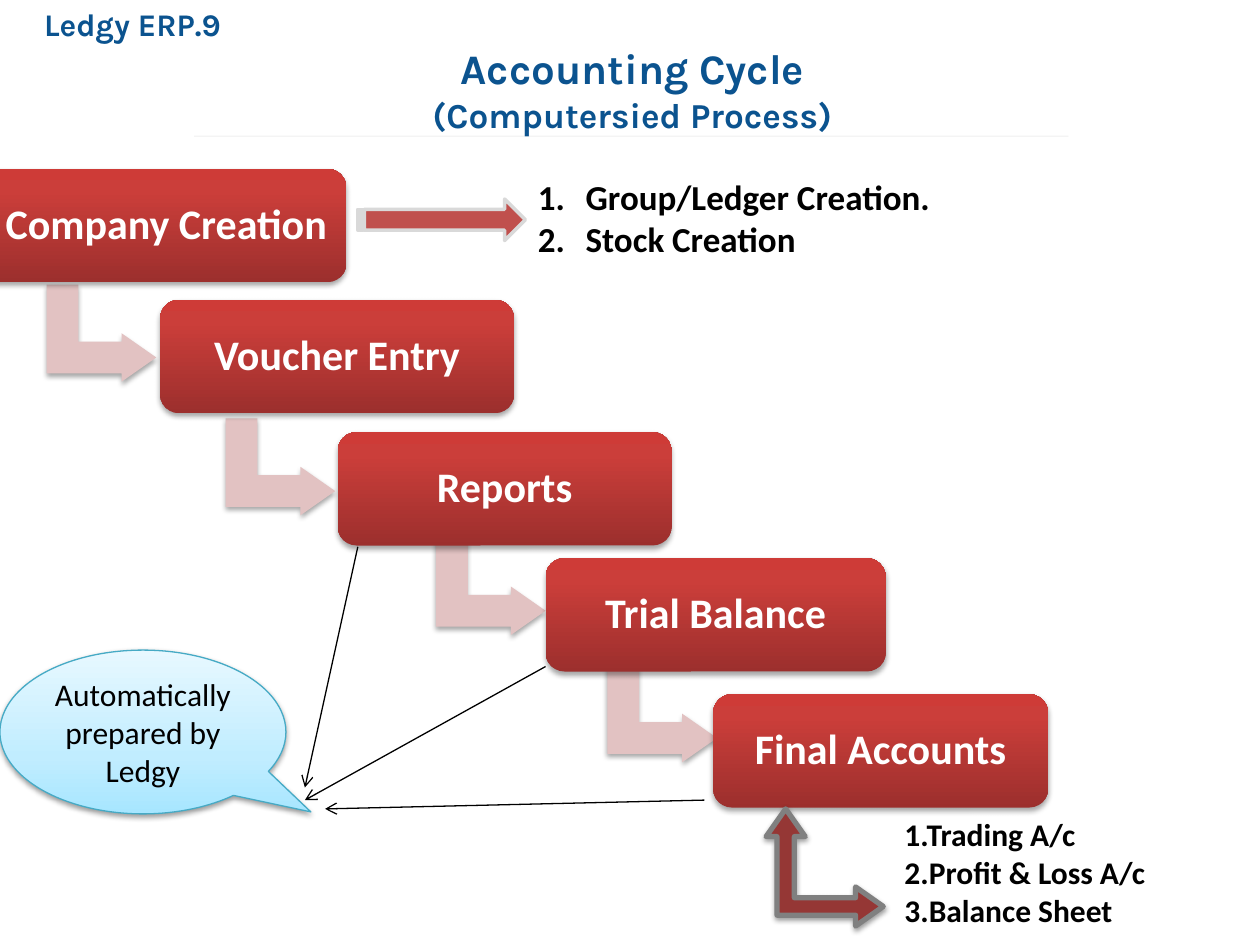
"""Build the accounting cycle slide with its step-down process boxes."""
from copy import deepcopy

from lxml.etree import SubElement
from pptx import Presentation
from pptx.dml.color import RGBColor
from pptx.enum.shapes import MSO_CONNECTOR, MSO_SHAPE
from pptx.enum.text import MSO_ANCHOR, PP_ALIGN
from pptx.oxml.ns import qn
from pptx.util import Inches, Pt

BLUE = RGBColor(0x0B, 0x53, 0x8F)
BLACK = RGBColor(0, 0, 0)
WHITE = RGBColor(0xFF, 0xFF, 0xFF)
PINK = RGBColor(0xE2, 0xC2, 0xC2)
RED = RGBColor(0xC0, 0x50, 0x4D)
DARK_RED = RGBColor(0x95, 0x37, 0x35)
PALE_GRAY = RGBColor(0xD9, 0xD9, 0xD9)
RULE_GRAY = RGBColor(0xBF, 0xBF, 0xBF)
GRAY = RGBColor(0x80, 0x80, 0x80)
TEAL = RGBColor(0x46, 0xAA, 0xC5)
RED_STOPS = [(0, RGBColor(0x9C, 0x2F, 0x2D)), (0.8, RGBColor(0xCB, 0x3E, 0x3A)),
             (1, RGBColor(0xCE, 0x3B, 0x37))]
SKY_STOPS = [(0, RGBColor(0xA7, 0xE6, 0xFF)), (0.35, RGBColor(0xC1, 0xED, 0xFF)),
             (1, RGBColor(0xE7, 0xF8, 0xFF))]
STEP_SHADOW = (35, 3.1, 1.8, 90)
SOFT_SHADOW = (38, 3.1, 1.6, 90)


def paint(sp, fill=None, line=None, shadow=None):
    spPr = sp._element.spPr
    if isinstance(fill, list):
        sp.fill.gradient()
        sp.fill.gradient_angle = 90
        gs = spPr.find(".//" + qn("a:gsLst"))
        gs.insert(1, deepcopy(gs[0]))
        for stop, (pos, color) in zip(sp.fill.gradient_stops, fill):
            stop.position = pos
            stop.color.rgb = color
    elif fill is not None:
        sp.fill.solid()
        sp.fill.fore_color.rgb = fill
    if line:
        sp.line.color.rgb, sp.line.width = line[0], Pt(line[1])
    else:
        sp.line.fill.background()
    effects = SubElement(spPr, qn("a:effectLst"))
    if shadow:
        alpha, blur, dist, angle = shadow
        outer = SubElement(effects, qn("a:outerShdw"), blurRad=str(Pt(blur)),
                           dist=str(Pt(dist)), dir=str(angle * 60000),
                           algn="ctr", rotWithShape="0")
        color = SubElement(outer, qn("a:srgbClr"), val="000000")
        SubElement(color, qn("a:alpha"), val=str(alpha * 1000))


def write(tf, lines, fmt, align=PP_ALIGN.LEFT, numbered=False):
    tf.word_wrap = True
    for i, text in enumerate(lines):
        p = tf.add_paragraph() if i else tf.paragraphs[0]
        p.alignment = align
        if numbered:
            pPr = p._p.get_or_add_pPr()
            pPr.set("marL", str(Inches(0.38)))
            pPr.set("indent", str(Inches(-0.38)))
            SubElement(pPr, qn("a:buFont"), typeface="+mj-lt")
            SubElement(pPr, qn("a:buAutoNum"), type="arabicPeriod")
        r = p.add_run()
        r.text = text
        for name, value in fmt.items():
            if name == "color":
                r.font.color.rgb = value
            else:
                setattr(r.font, name, value)


prs = Presentation()
prs.slide_width, prs.slide_height = Inches(10), Inches(7.5)
s = prs.slides.add_slide(prs.slide_layouts[6])
shapes = s.shapes

rule = shapes.add_connector(MSO_CONNECTOR.STRAIGHT, Inches(8.48), Inches(1.08),
                            Inches(1.54), Inches(1.08))
paint(rule, line=(RULE_GRAY, 0.25), shadow=(44, 3, 0, 0))
SubElement(rule._element.spPr.find(".//" + qn("a:ln")).find(".//" + qn("a:srgbClr")),
           qn("a:alpha"), val="48000")

tf = shapes.add_textbox(Inches(0.35), Inches(0.04), Inches(9.34), Inches(1.04)).text_frame
for side in ("left", "top", "right", "bottom"):
    setattr(tf, f"margin_{side}", 0)
title = {"name": "Karla", "size": Pt(18), "bold": True, "color": BLUE}
write(tf, ["Ledgy ERP.9", "Accounting Cycle", "(Computersied Process)"], title)
for p, size in zip(tf.paragraphs[1:], (24, 20)):
    p.alignment = PP_ALIGN.CENTER
    p.runs[0].font.size = Pt(size)

step = {"name": "Calibri", "size": Pt(24), "bold": True, "color": WHITE}
steps = [
    ("Company Creation", -0.32, 1.34, 3.07, (0.42, 2.21)),
    ("Voucher Entry", 1.27, 2.38, 2.81, (1.84, 3.27)),
    ("Reports", 2.68, 3.43, 2.65, (3.51, 4.22)),
    ("Trial Balance", 4.33, 4.43, 2.7, (4.87, 5.23)),
    ("Final Accounts", 5.66, 5.51, 2.66, None),
]
for text, x, y, w, arrow in steps:
    if arrow:
        sp = shapes.add_shape(MSO_SHAPE.BENT_UP_ARROW, Inches(arrow[0]), Inches(arrow[1]),
                              Inches(0.77), Inches(0.87))
        sp.rotation = 90
        for i, value in enumerate((0.328, 0.25, 0.358)):
            sp.adjustments[i] = value
        paint(sp, PINK, shadow=STEP_SHADOW)
    sp = shapes.add_shape(MSO_SHAPE.ROUNDED_RECTANGLE, Inches(x), Inches(y),
                          Inches(w), Inches(0.9))
    paint(sp, RED_STOPS, shadow=STEP_SHADOW)
    tf = sp.text_frame
    tf.vertical_anchor = MSO_ANCHOR.MIDDLE
    tf.margin_left = Inches(0.25 if x < 0 else 0.14)
    tf.margin_right = Inches(0.04 if x < 0 else 0.14)
    write(tf, [text], step, PP_ALIGN.CENTER)
    tf.paragraphs[0].line_spacing = 0.9

body = {"name": "Calibri", "size": Pt(18), "bold": True, "color": BLACK}
tf = shapes.add_textbox(Inches(7.08), Inches(6.42), Inches(2.49), Inches(1.01)).text_frame
write(tf, ["1.Trading A/c", "2.Profit & Loss A/c", "3.Balance Sheet"], body)

sp = shapes.add_shape(MSO_SHAPE.STRIPED_RIGHT_ARROW, Inches(2.84), Inches(1.58),
                      Inches(1.33), Inches(0.33))
paint(sp, RED, (PALE_GRAY, 2))

tf = shapes.add_textbox(Inches(4.17), Inches(1.34), Inches(5.83), Inches(0.77)).text_frame
write(tf, ["Group/Ledger Creation.", "Stock Creation"], {**body, "size": Pt(20)}, numbered=True)

sp = shapes.add_shape(MSO_SHAPE.LEFT_UP_ARROW, Inches(6.08), Inches(6.42),
                      Inches(0.93), Inches(0.93))
sp.rotation = 90
for i, value in enumerate((0.148, 0.167, 0.237)):
    sp.adjustments[i] = value
paint(sp, DARK_RED, (GRAY, 3), SOFT_SHADOW)

for ends in ((2.84, 4.34, 2.42, 6.25), (4.33, 5.29, 2.42, 6.35), (5.59, 6.35, 2.58, 6.42)):
    cn = shapes.add_connector(MSO_CONNECTOR.STRAIGHT, *map(Inches, ends))
    paint(cn, line=(BLACK, 0.75))
    SubElement(cn._element.spPr.find(qn("a:ln")), qn("a:tailEnd"), type="arrow")

sp = shapes.add_shape(MSO_SHAPE.OVAL_CALLOUT, Inches(0), Inches(5.16), Inches(2.27), Inches(1.3))
sp.adjustments[0], sp.adjustments[1] = 0.587, 0.488
paint(sp, SKY_STOPS, (TEAL, 0.75), SOFT_SHADOW)
sp.text_frame.vertical_anchor = MSO_ANCHOR.MIDDLE
write(sp.text_frame, ["Automatically prepared by Ledgy"], {**body, "bold": False}, PP_ALIGN.CENTER)

prs.save("out.pptx")
